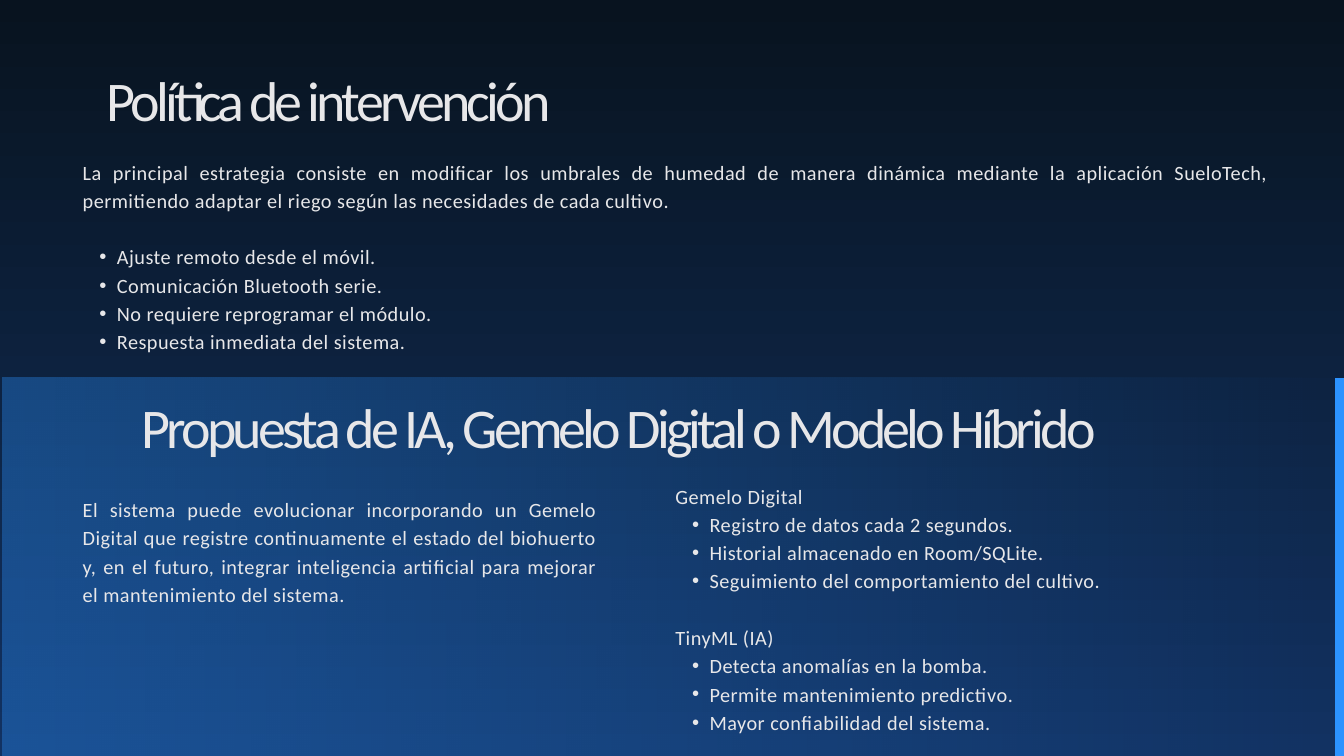
"""Build a slide on the intervention policy and the AI and digital twin proposal."""
import lxml.etree
import pptx
import pptx.dml.color
import pptx.enum.shapes
import pptx.enum.text
import pptx.oxml.ns
import pptx.util

COLOURS = {
    "night": "08131F",
    "navy": "123262",
    "accent": "2C93FF",
    "text": "E7E7E9",
    "grey": "7A828F",
}
FONT = "Calibri"
LINE_HEIGHT = pptx.util.Pt(30.3)
qn = pptx.oxml.ns.qn


def paint_gradient(fill, names, angle):
    fill.gradient()
    fill.gradient_angle = angle
    for stop, name, position in zip(fill.gradient_stops, names, (0, 1)):
        stop.color.rgb = pptx.dml.color.RGBColor.from_string(COLOURS[name])
        stop.position = position


def add_text_box(page, left, top, width, height):
    box = page.shapes.add_textbox(*(int(cell * share) for share in (left, top, width, height)))
    frame = box.text_frame
    frame.word_wrap = True
    frame.auto_size = pptx.enum.text.MSO_AUTO_SIZE.SHAPE_TO_FIT_TEXT
    frame.margin_left = frame.margin_right = frame.margin_top = frame.margin_bottom = 0
    return frame


deck = pptx.Presentation()
deck.slide_width = pptx.util.Inches(20)
deck.slide_height = pptx.util.Inches(11.25)
cell = deck.slide_width / 20
page = deck.slides.add_slide(deck.slide_layouts[6])
paint_gradient(page.background.fill, ("night", "navy"), 270)

middle = deck.slide_height // 2
panel_left = int(cell * 0.04)
panel_right = int(cell * 19.94)
panel = page.shapes.add_shape(
    pptx.enum.shapes.MSO_SHAPE.RECTANGLE,
    panel_left, middle, panel_right - panel_left, deck.slide_height - middle,
)
panel.shadow.inherit = False
panel.line.fill.background()
paint_gradient(panel.fill, ("accent", "accent"), 0)
for colour, opacity in zip(panel._element.spPr.iter(qn("a:srgbClr")), (35, 0)):
    lxml.etree.SubElement(colour, qn("a:alpha")).set("val", str(opacity * 1000))

edge = page.shapes.add_connector(
    pptx.enum.shapes.MSO_CONNECTOR.STRAIGHT,
    panel_right, middle, panel_right, deck.slide_height,
)
edge.line.color.rgb = pptx.dml.color.RGBColor.from_string(COLOURS["accent"])
edge.line.width = pptx.util.Pt(10)
lxml.etree.SubElement(edge._element.spPr, qn("a:effectLst"))

titles = [
    ("Propuesta de IA, Gemelo Digital o Modelo Híbrido", 6.13, 16.17),
    ("Política de intervención", 1.27, 7.54),
]
for title, top, width in titles:
    para = add_text_box(page, 1.12, top, width, 0.84).paragraphs[0]
    para.alignment = pptx.enum.text.PP_ALIGN.CENTER
    para.line_spacing = pptx.util.Pt(51)
    span = para.add_run()
    span.text = title
    span.font.name = FONT
    span.font.size = pptx.util.Pt(60)
    paint_gradient(span.font.fill, ("text", "grey"), 270)
    span._r.get_or_add_rPr().set("spc", "-410")

bodies = [
    ((1.23, 7.34, 7.65, 2.1), [
        ("plain", "El sistema puede evolucionar incorporando un Gemelo Digital que registre "
                  "continuamente el estado del biohuerto y, en el futuro, integrar inteligencia "
                  "artificial para mejorar el mantenimiento del sistema."),
    ]),
    ((1.23, 2.32, 17.65, 2.93), [
        ("plain", "La principal estrategia consiste en modificar los umbrales de humedad de "
                  "manera dinámica mediante la aplicación SueloTech, permitiendo adaptar el "
                  "riego según las necesidades de cada cultivo."),
        ("first bullet", "Ajuste remoto desde el móvil."),
        ("bullet", "Comunicación Bluetooth serie."),
        ("bullet", "No requiere reprogramar el módulo."),
        ("bullet", "Respuesta inmediata del sistema."),
    ]),
    ((10.05, 7.14, 7.65, 3.76), [
        ("plain", "Gemelo Digital"),
        ("bullet", "Registro de datos cada 2 segundos."),
        ("bullet", "Historial almacenado en Room/SQLite."),
        ("bullet", "Seguimiento del comportamiento del cultivo."),
        ("first plain", "TinyML (IA)"),
        ("bullet", "Detecta anomalías en la bomba."),
        ("bullet", "Permite mantenimiento predictivo."),
        ("bullet", "Mayor confiabilidad del sistema."),
    ]),
]
for place, lines in bodies:
    frame = add_text_box(page, *place)
    for number, (style, line) in enumerate(lines):
        para = frame.add_paragraph() if number else frame.paragraphs[0]
        para.alignment = pptx.enum.text.PP_ALIGN.JUSTIFY
        para.line_spacing = LINE_HEIGHT
        if style.startswith("first"):
            para.space_before = LINE_HEIGHT
        if style.endswith("bullet"):
            para.level = 1
            properties = para._p.get_or_add_pPr()
            properties.set("marL", str(int(cell * 0.51)))
            properties.set("indent", str(int(cell * -0.26)))
            lxml.etree.SubElement(properties, qn("a:buFont")).set("typeface", "Arial")
            lxml.etree.SubElement(properties, qn("a:buChar")).set("char", "•")
        span = para.add_run()
        span.text = line
        span.font.name = FONT
        span.font.size = pptx.util.Pt(21.7)
        span.font.color.rgb = pptx.dml.color.RGBColor.from_string(COLOURS["text"])
        span._r.get_or_add_rPr().set("spc", "50")

deck.save("out.pptx")
